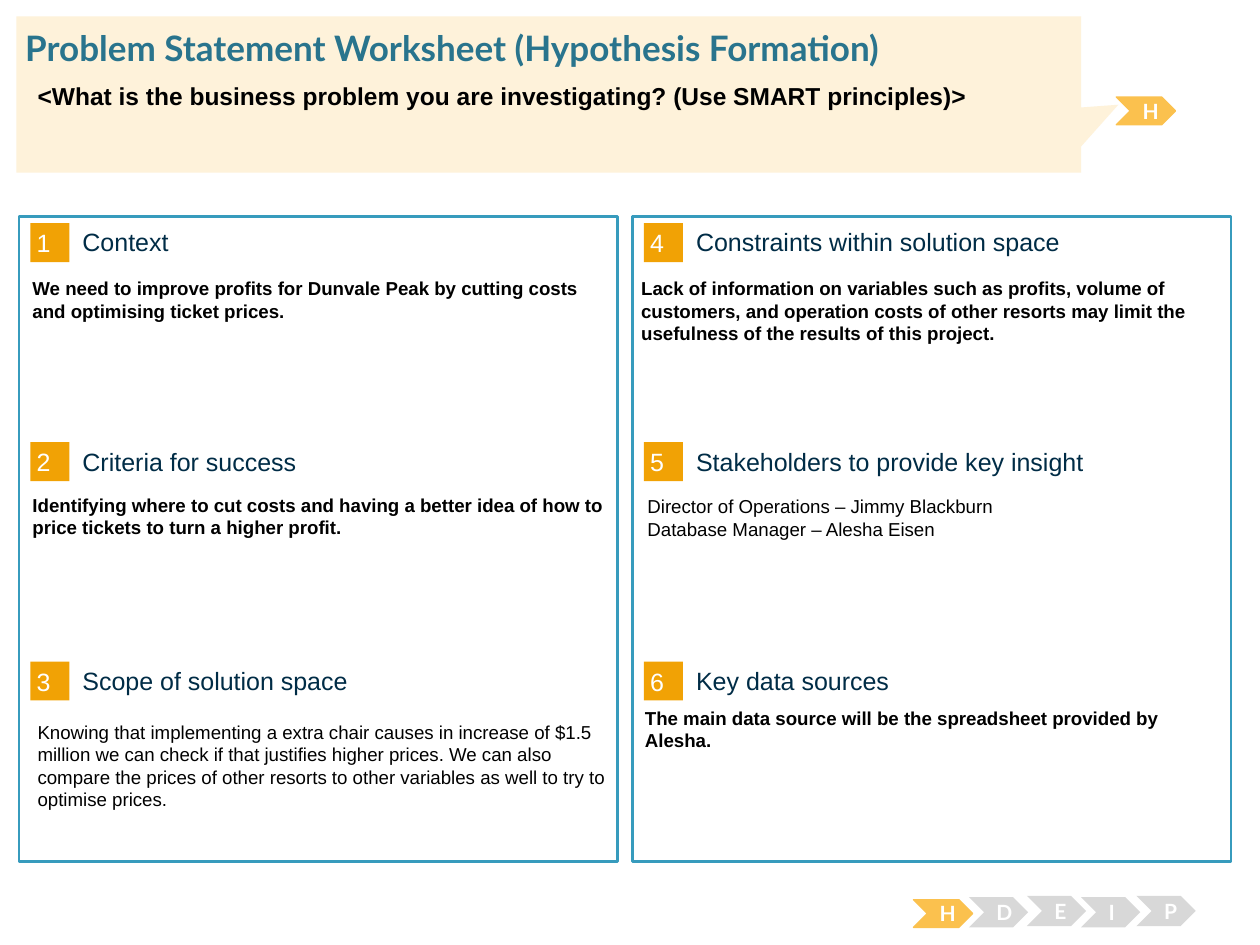
import pptx
import pptx.util
import pptx.dml.color
import pptx.enum.shapes
import pptx.enum.text

Inches = pptx.util.Inches
SHAPE = pptx.enum.shapes.MSO_SHAPE
ALIGN = pptx.enum.text.PP_ALIGN
ANCHOR = pptx.enum.text.MSO_ANCHOR

BODY = {"size": 10.7, "name": "Arial", "color": "000000", "bold": False}
BOLD = {**BODY, "bold": True}
HEADING = {**BODY, "size": 14.3, "color": "002C46"}
NUMBER = {**HEADING, "color": "FFFFFF"}
QUESTION = {**BOLD, "size": 14}
TITLE = {"size": 20, "name": "Lato", "color": "29748D", "bold": True}
STAGE = {**TITLE, "size": 12, "color": "FFFFFF"}

COLUMN_X = (0.15, 5.02)
ROW_Y = (1.77, 3.51, 5.25)

# Heading, then body left, top, height, format and paragraphs; by column
SECTIONS = (
    (("Context", 0.16, 2.15, 1.36, BOLD,
      ["We need to improve profits for Dunvale Peak by cutting costs and "
       "optimising ticket prices."]),
     ("Criteria for success", 0.16, 3.87, 1.54, BOLD,
      ["Identifying where to cut costs and having a better idea of how to "
       "price tickets to turn a higher profit."]),
     ("Scope of solution space", 0.2, 5.67, 0.82, BODY,
      ["Knowing that implementing a extra chair causes in increase of $1.5 "
       "million we can check if that justifies higher prices. We can also "
       "compare the prices of other resorts to other variables as well to "
       "try to optimise prices."])),
    (("Constraints within solution space", 4.99, 2.15, 1.18, BOLD,
      ["Lack of information on variables such as profits, volume of "
       "customers, and operation costs of other resorts may limit the "
       "usefulness of the results of this project."]),
     ("Stakeholders to provide key insight", 5.04, 3.88, 1.18, BODY,
      ["Director of Operations – Jimmy Blackburn",
       "Database Manager – Alesha Eisen"]),
     ("Key data sources", 5.02, 5.56, 1.18, BOLD,
      ["The main data source will be the spreadsheet provided by Alesha."])),
)


def rgb(value):
    """Turn a hex string into a colour."""
    return pptx.dml.color.RGBColor.from_string(value)


def write(sp, paragraphs, fmt, anchor=ANCHOR.TOP, align=ALIGN.LEFT, inset=None):
    """Fill a shape with formatted paragraphs."""
    tf = sp.text_frame
    tf.word_wrap = True
    tf.auto_size = pptx.enum.text.MSO_AUTO_SIZE.NONE
    tf.vertical_anchor = anchor
    if inset is not None:
        for side in ("left", "top", "right", "bottom"):
            setattr(tf, "margin_" + side, Inches(inset))
    for i, text in enumerate(paragraphs):
        p = tf.add_paragraph() if i else tf.paragraphs[0]
        p.alignment = align
        r = p.add_run()
        r.text = text
        for key, value in fmt.items():
            if key == "color":
                r.font.color.rgb = rgb(value)
            else:
                setattr(r.font, key, pptx.util.Pt(value) if key == "size" else value)


def add_box(slide, kind, box, fill, line=None, width=0.74):
    """Add a flat preset shape."""
    sp = slide.shapes.add_shape(kind, *map(Inches, box))
    sp.shadow.inherit = False
    sp.fill.solid()
    sp.fill.fore_color.rgb = rgb(fill)
    if line:
        sp.line.color.rgb = rgb(line)
        sp.line.width = pptx.util.Pt(width)
    else:
        sp.line.fill.background()
    return sp


def add_text(slide, box, paragraphs, fmt, **layout):
    """Add a wrapped text box."""
    sp = slide.shapes.add_textbox(*map(Inches, box))
    write(sp, paragraphs, fmt, **layout)


def add_section(slide, number, x, y, section):
    """Add a numbered heading and its body text."""
    heading, left, top, height, fmt, paragraphs = section
    sp = add_box(slide, SHAPE.RECTANGLE, (x + 0.09, y, 0.31, 0.31), "F1A205")
    write(sp, [str(number)], NUMBER, anchor=ANCHOR.MIDDLE, inset=0.05)
    add_text(slide, (x + 0.505, y + 0.03, 3.93, 0.24), [heading], HEADING,
             anchor=ANCHOR.MIDDLE, inset=0)
    add_text(slide, (left, top, 4.73, height), paragraphs, fmt)


def add_stage(slide, letter, x, y, active=False):
    """Add one lettered chevron of the process."""
    fill, line, height = ("FBC14E", "FBC14E", 0.22) if active else ("D8D8D8", None, 0.24)
    sp = add_box(slide, SHAPE.CHEVRON, (x, y, 0.47, height), fill, line)
    write(sp, [letter], STAGE, anchor=ANCHOR.MIDDLE, align=ALIGN.CENTER)


def add_title(slide, text):
    """Place the title in front of the callout."""
    sp = slide.shapes.title
    sp.left, sp.top, sp.width, sp.height = map(Inches, (0.2, 0.21, 9.62, 0.34))
    write(sp, [text], TITLE, inset=0)
    sp.element.getparent().append(sp.element)


def main():
    """Build the worksheet slide."""
    prs = pptx.Presentation()
    prs.slide_width, prs.slide_height = Inches(10), Inches(7.5)
    slide = prs.slides.add_slide(prs.slide_layouts[5])

    for x in COLUMN_X:
        add_box(slide, SHAPE.RECTANGLE, (x, 1.72, 4.75, 5.12), "FFFFFF", "379BBD", 1.5)
    for col, (x, sections) in enumerate(zip(COLUMN_X, SECTIONS)):
        for row, (y, section) in enumerate(zip(ROW_Y, sections)):
            add_section(slide, col * 3 + row + 1, x, y, section)

    add_stage(slide, "H", 7.25, 7.14, active=True)
    for letter, x, y in (("D", 7.69, 7.12), ("E", 8.15, 7.11),
                         ("I", 8.58, 7.12), ("P", 9.02, 7.11)):
        add_stage(slide, letter, x, y)
    add_stage(slide, "H", 8.86, 0.77, active=True)

    callout = add_box(slide, SHAPE.RECTANGULAR_CALLOUT, (0.13, 0.13, 8.45, 1.24), "FEF2DA")
    callout.adjustments[0], callout.adjustments[1] = 0.535, 0.066
    add_title(slide, "Problem Statement Worksheet (Hypothesis Formation)")
    add_text(slide, (0.2, 0.59, 9.39, 0.54),
             ["<What is the business problem you are investigating? "
              "(Use SMART principles)>"], QUESTION)
    prs.save("out.pptx")


main()
